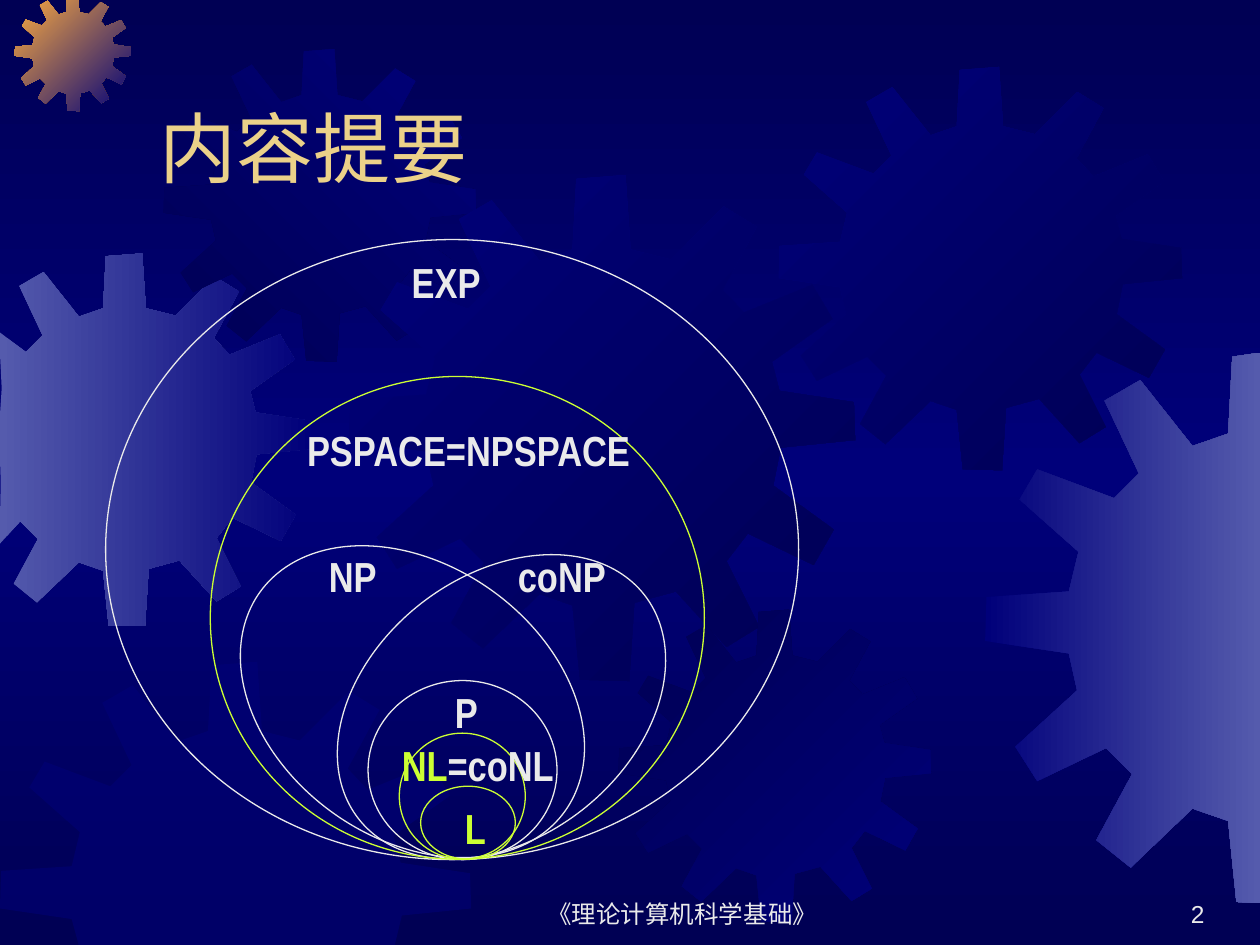
from copy import deepcopy

from lxml import etree
from pptx import Presentation
from pptx import util as u
from pptx.dml.color import RGBColor
from pptx.enum import shapes, text
from pptx.oxml import ns

NIGHT = RGBColor(0x00, 0x00, 0x54)
NAVY = RGBColor(0x00, 0x00, 0x7A)
LAVENDER = RGBColor(0x55, 0x5B, 0xAD)
ORANGE = RGBColor(0xFC, 0xAB, 0x40)
PALE = RGBColor(0xEA, 0xEA, 0xEA)
GOLD = RGBColor(0xEB, 0xD1, 0x89)
LIME = RGBColor(0xCC, 0xFF, 0x33)

WIDTH, HEIGHT = u.Cm(25.4), u.Cm(19.05)

# One twelve-toothed gear, four corners per tooth, on a 401-unit square
GEAR_UNITS = 401
GEAR = [
    (255, 67), (223, 59), (219, 0), (180, 3),
    (177, 59), (151, 68), (113, 20), (87, 35),
    (112, 88), (94, 106), (38, 85), (25, 107),
    (68, 145), (61, 174), (1, 178), (0, 210),
    (61, 219), (67, 246), (22, 287), (38, 312),
    (88, 288), (107, 307), (81, 355), (106, 375),
    (151, 332), (177, 341), (183, 400), (222, 401),
    (226, 339), (259, 330), (299, 374), (325, 358),
    (299, 306), (316, 284), (368, 309), (384, 281),
    (336, 246), (342, 216), (401, 210), (400, 180),
    (341, 171), (335, 148), (383, 114), (367, 87),
    (313, 109), (296, 91), (323, 41), (297, 25),
]


def blend(fill, colors, angle):
    """Gradient with evenly spaced colours; angle runs counter-clockwise."""
    fill.gradient_angle = angle
    for index, (stop, color) in enumerate(zip(fill.gradient_stops, colors)):
        stop.position = index / (len(colors) - 1)
        stop.color.rgb = color


def write(box, spans, anchor, align, **font):
    """Fill a box with one paragraph of (words, colour) spans."""
    frame = box.text_frame
    frame.word_wrap = True
    frame.vertical_anchor = anchor
    para = frame.paragraphs[0]
    para.alignment = align
    for words, color in spans:
        span = para.add_run()
        span.text = words
        span.font.color.rgb = color
        for name, value in font.items():
            setattr(span.font, name, value)


deck = Presentation()
deck.slide_width, deck.slide_height = WIDTH, HEIGHT
page = deck.slides.add_slide(deck.slide_layouts[5])

# Background: dark at top and bottom
backdrop = page.background.fill
backdrop.gradient()
stops = page.element.find(".//" + ns.qn("a:gsLst"))
stops.append(deepcopy(stops[-1]))
blend(backdrop, [NIGHT, NAVY, NIGHT], 270)

# Gears: left, top, size, colours, angle; kept inside the slide edges
gears = [
    (-1.24, 5.11, 7.52, [LAVENDER, NAVY], 0),
    (0.3, -0.1, 2.34, [ORANGE, NAVY], 315),
    (3.3, 0.99, 6.3, [NIGHT, NAVY], 45),
    (7.04, 3.53, 10.2, [NAVY, NIGHT], 315),
    (0, 13.34, 9.5, [NAVY], 0),
    (12.47, 12.29, 6.3, [NIGHT, NAVY], 315),
    (15.7, 1.35, 8.13, [NAVY, NIGHT], 315),
    (19.86, 7.11, 11.1, [NAVY, LAVENDER], 0),
]
for left, top, size, colors, angle in gears:
    unit = size / GEAR_UNITS
    corners = [
        (min(max(u.Cm(left + x * unit), 0), WIDTH),
         min(max(u.Cm(top + y * unit), 0), HEIGHT))
        for x, y in GEAR
    ]
    outline = page.shapes.build_freeform(*corners[0])
    outline.add_line_segments(corners[1:], close=True)
    gear = outline.convert_to_shape()
    gear.shadow.inherit = False
    gear.line.fill.background()
    if len(colors) > 1:
        gear.fill.gradient()
        blend(gear.fill, colors, angle)
    else:
        gear.fill.solid()
        gear.fill.fore_color.rgb = colors[0]
        solid = gear.element.spPr.find(ns.qn("a:solidFill"))
        etree.SubElement(solid[0], ns.qn("a:alpha"), val="50000")

# Footer and page number
footers = [
    ("《理论计算机科学基础》", 9.73, 8.05, text.PP_ALIGN.CENTER),
    ("2", 19.25, 5.28, text.PP_ALIGN.RIGHT),
]
for words, left, width, align in footers:
    box = page.shapes.add_textbox(u.Cm(left), u.Cm(17.58), u.Cm(width), u.Cm(1.27))
    write(box, [(words, PALE)], text.MSO_ANCHOR.BOTTOM, align,
          name="Arial", size=u.Pt(14))

# Title, brought in front of the gears
title = page.shapes.title
title.left, title.top = u.Cm(2.97), u.Cm(0.84)
title.width, title.height = u.Cm(21.59), u.Cm(3.18)
write(title, [("内容提要", GOLD)], text.MSO_ANCHOR.BOTTOM, text.PP_ALIGN.LEFT,
      name="Arial", size=u.Pt(44))
title.text_frame.auto_size = text.MSO_AUTO_SIZE.NONE
title.element.getparent().append(title.element)

# Nested complexity classes: left, top, width, height, rotation, colour
diagram = page.shapes.add_group_shape()
classes = [
    (5.56, 10.36, 5.51, 7.57, 305.7, PALE),
    (7.47, 10.59, 5.28, 7.32, 51.9, PALE),
    (7.42, 13.72, 3.81, 3.61, 0, PALE),
    (2.13, 4.83, 13.97, 12.5, 0, PALE),
    (4.24, 7.59, 9.96, 9.73, 0, LIME),
    (8.05, 14.78, 2.54, 2.54, 0, LIME),
    (8.48, 15.85, 1.91, 1.47, 0, LIME),
]
for *place, rotation, color in classes:
    ellipse = diagram.shapes.add_shape(
        shapes.MSO_SHAPE.OVAL, *[u.Cm(length) for length in place])
    ellipse.rotation = rotation
    ellipse.shadow.inherit = False
    ellipse.fill.background()
    ellipse.line.color.rgb = color
    ellipse.line.width = u.Pt(0.75)

# Class names: left, top, width, spans
labels = [
    (8.92, 13.72, 1.47, [("P", PALE)]),
    (6.38, 10.97, 1.91, [("NP", PALE)]),
    (10.19, 10.97, 2.74, [("coNP", PALE)]),
    (8.05, 5.05, 1.91, [("EXP", PALE)]),
    (5.94, 8.43, 7.62, [("PSPACE=NPSPACE", PALE)]),
    (7.85, 14.78, 3.81, [("NL", LIME), ("=coNL", PALE)]),
    (9.12, 16.05, 1.27, [("L", LIME)]),
]
for left, top, width, spans in labels:
    box = diagram.shapes.add_textbox(u.Cm(left), u.Cm(top), u.Cm(width), u.Cm(1.27))
    write(box, spans, text.MSO_ANCHOR.TOP, text.PP_ALIGN.LEFT,
          name="Arial Narrow", size=u.Pt(24), bold=True)
    box.text_frame.auto_size = text.MSO_AUTO_SIZE.SHAPE_TO_FIT_TEXT

deck.save("out.pptx")
